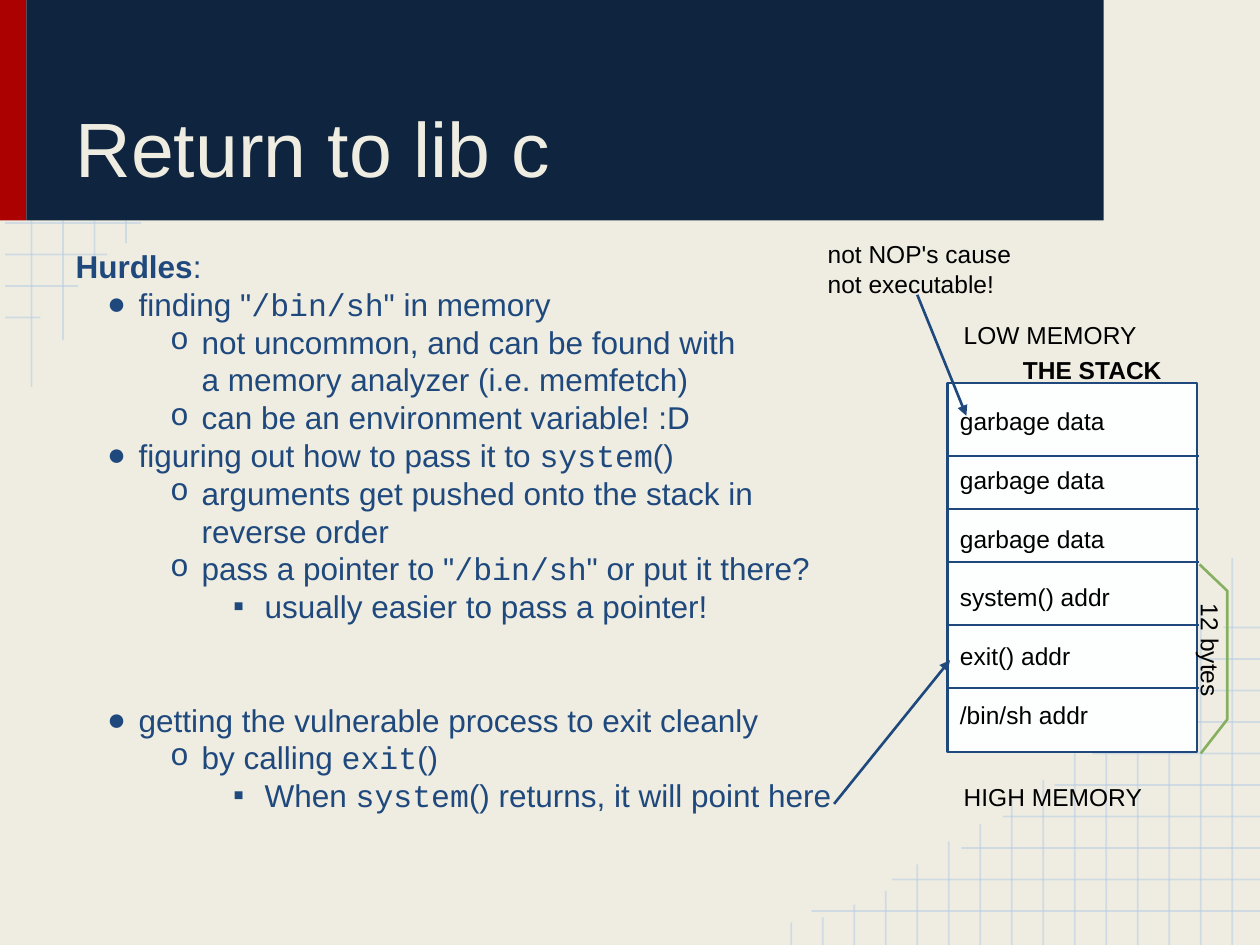
from dataclasses import dataclass

import pptx
import pptx.dml.color
import pptx.enum.shapes
import pptx.enum.text
import pptx.oxml
import pptx.oxml.ns
import pptx.util
from pptx.util import Inches

RGBColor = pptx.dml.color.RGBColor
CREAM = RGBColor(0xEF, 0xED, 0xE2)
RED = RGBColor(0xAB, 0x01, 0x01)
NAVY = RGBColor(0x0F, 0x24, 0x3E)
BLUE = RGBColor(0x1F, 0x49, 0x7D)
PALE_BLUE = RGBColor(0xB7, 0xCC, 0xE4)
GREEN = RGBColor(0x86, 0xB0, 0x60)
WHITE = RGBColor(0xFD, 0xFF, 0xFF)
BLACK = RGBColor(0, 0, 0)

RECTANGLE = pptx.enum.shapes.MSO_SHAPE.RECTANGLE
ANCHOR = pptx.enum.text.MSO_ANCHOR
LEFT = pptx.enum.text.PP_ALIGN.LEFT
GRID_GAP = 0.25


@dataclass
class Item:
    """A line of the list; text between backticks is code."""
    text: str
    level: int
    gap_before: float = 0


@dataclass
class Label:
    text: str
    left: float
    top: float
    width: float
    height: float
    bold: bool = False
    rotation: float = 0


BULLETS = [("●", "Arial"), ("o", "Courier New"), ("▪", "Arial")]
ITEMS = [
    Item('finding "`/bin/sh`" in memory', 0),
    Item("not uncommon, and can be found with\va memory analyzer (i.e. memfetch)", 1),
    Item("can be an environment variable! :D", 1),
    Item("figuring out how to pass it to `system`()", 0),
    Item("arguments get pushed onto the stack in\vreverse order", 1),
    Item('pass a pointer to "`/bin/sh`" or put it there?', 1),
    Item("usually easier to pass a pointer!", 2),
    Item("getting the vulnerable process to exit cleanly", 0, 43.2),
    Item("by calling `exit`()", 1),
    Item("When `system`() returns, it will point here", 2),
]
STACK = ["garbage data"] * 3 + ["system() addr", "exit() addr", "/bin/sh addr"]
DIVIDERS = [3.62, 4.04, 4.46, 4.96, 5.46]
LABELS = [
    Label("THE STACK", 8.02, 2.72, 1.5, 0.28, bold=True),
    Label("not NOP's cause not executable!", 6.47, 1.8, 1.95, 0.54),
    Label("12 bytes", 8.17, 4.86, 1.82, 1.49, rotation=90),
    Label("HIGH MEMORY", 7.55, 6.11, 1.72, 0.36),
    Label("LOW MEMORY", 7.55, 2.44, 1.72, 0.36),
]
BRACKET = [(9.52, 4.48), (9.74, 4.69), (9.74, 5.71), (9.53, 5.98)]

TOP_ROW_ENDS = [1.12, 0.85, 0.62, 0.32]
TOP_COLUMN_ENDS = [3.07, 2.7, 2.21, 1.93]
BOTTOM_ROW_STARTS = [6.44, 7.08, 7.63, 7.96, 8.37, 8.67, 8.92, 9.19, 9.42, 9.71]
BOTTOM_COLUMN_STARTS = [4.43, 4.8, 5.29, 5.57, 5.78, 5.95, 6.19, 6.35,
                        6.54, 6.68, 6.86, 7.07, 7.18, 7.28, 7.32]


def add_child(parent, tag: str, **attributes: str):
    child = pptx.oxml.ns.qn(tag)
    element = parent.makeelement(child, attributes)
    parent.append(element)
    return element


def add_line(slide, start: tuple, end: tuple, color: RGBColor = BLUE,
             width: float = 1.5, arrow: bool = False):
    connector = slide.shapes.add_connector(
        pptx.enum.shapes.MSO_CONNECTOR.STRAIGHT,
        Inches(start[0]), Inches(start[1]), Inches(end[0]), Inches(end[1]))
    connector.line.color.rgb = color
    connector.line.width = pptx.util.Pt(width)
    if arrow:
        add_child(connector.line._get_or_add_ln(), "a:tailEnd", type="triangle")
    add_child(connector.element.spPr, "a:effectLst")
    return connector


def add_grid_line(slide, start: tuple, end: tuple) -> None:
    connector = add_line(slide, start, end, PALE_BLUE, 1)
    color = connector.element.find(".//" + pptx.oxml.ns.qn("a:srgbClr"))
    add_child(color, "a:alpha", val="54000")


def add_grids(slide) -> None:
    for index, end in enumerate(TOP_ROW_ENDS):
        y = 1.77 + index * GRID_GAP
        add_grid_line(slide, (0.04, y), (end, y))
    for index, end in enumerate(TOP_COLUMN_ENDS):
        x = (index + 1) * GRID_GAP
        add_grid_line(slide, (x, 1.75), (x, end))
    for index, start in enumerate(BOTTOM_ROW_STARTS):
        y = 7.23 - index * GRID_GAP
        add_grid_line(slide, (start, y), (10, y))
    for index, start in enumerate(BOTTOM_COLUMN_STARTS):
        x = 9.78 - index * GRID_GAP
        add_grid_line(slide, (x, start), (x, 7.5))


def add_rectangle(slide, left: float, top: float, width: float, height: float,
                  fill: RGBColor):
    shape = slide.shapes.add_shape(
        RECTANGLE, Inches(left), Inches(top), Inches(width), Inches(height))
    shape.shadow.inherit = False
    shape.fill.solid()
    shape.fill.fore_color.rgb = fill
    shape.line.fill.background()
    return shape


def set_frame(shape, anchor) -> None:
    frame = shape.text_frame
    frame.word_wrap = True
    frame.auto_size = pptx.enum.text.MSO_AUTO_SIZE.NONE
    frame.vertical_anchor = anchor
    frame.margin_left = frame.margin_right = Inches(0.1)
    frame.margin_top = frame.margin_bottom = Inches(0.1)


def set_font(paragraph, size: float, color: RGBColor) -> None:
    paragraph.alignment = LEFT
    paragraph.font.name = "Arial"
    paragraph.font.size = pptx.util.Pt(size)
    paragraph.font.color.rgb = color


def place(shape, left: float, top: float, width: float, height: float) -> None:
    """Move a placeholder and bring it in front of the background."""
    shape.left, shape.top = Inches(left), Inches(top)
    shape.width, shape.height = Inches(width), Inches(height)
    shape.element.getparent().append(shape.element)


def set_list_paragraph(paragraph, gap_before: float, level: int = -1) -> None:
    """Format a list line; level -1 is the heading without a bullet."""
    paragraph.level = max(level, 0)
    paragraph.line_spacing = pptx.util.Pt(21.6)
    paragraph.space_before = pptx.util.Pt(gap_before)
    properties = paragraph._p.get_or_add_pPr()
    properties.set("marL", str(Inches(0.5 * (level + 1))))
    if level < 0:
        properties.set("indent", "0")
        add_child(properties, "a:buNone")
    else:
        character, font = BULLETS[level]
        properties.set("indent", str(Inches(-0.25)))
        add_child(add_child(properties, "a:buClr"), "a:srgbClr", val=str(BLUE))
        add_child(properties, "a:buFont", typeface=font)
        add_child(properties, "a:buChar", char=character)
    set_font(paragraph, 18, BLUE)


def fill_body(body) -> None:
    set_frame(body, ANCHOR.TOP)
    heading = body.text_frame.paragraphs[0]
    set_list_paragraph(heading, 0)
    word = heading.add_run()
    word.text = "Hurdles"
    word.font.bold = True
    heading.add_run().text = ":"
    for item in ITEMS:
        paragraph = body.text_frame.add_paragraph()
        set_list_paragraph(paragraph, item.gap_before, item.level)
        for index, part in enumerate(item.text.split("`")):
            for line_number, line in enumerate(part.split("\v")):
                if line_number:
                    paragraph.add_line_break()
                run = paragraph.add_run()
                run.text = line
                if index % 2:
                    run.font.name = "Courier New"


def add_stack(slide) -> None:
    stack = add_rectangle(slide, 7.52, 3.04, 1.98, 2.93, WHITE)
    stack.line.color.rgb = BLUE
    stack.line.width = pptx.util.Pt(1.5)
    set_frame(stack, ANCHOR.MIDDLE)
    for index, text in enumerate(STACK):
        frame = stack.text_frame
        paragraph = frame.add_paragraph() if index else frame.paragraphs[0]
        paragraph.text = text
        paragraph.line_spacing = pptx.util.Pt(16.8)
        paragraph.space_before = pptx.util.Pt(16.8 if index else 0)
        set_font(paragraph, 14, BLACK)
    for y in DIVIDERS:
        add_line(slide, (7.53, y), (9.52, y))


def add_bracket(slide) -> None:
    points = [(Inches(x), Inches(y)) for x, y in BRACKET]
    builder = slide.shapes.build_freeform(*points[0])
    builder.add_line_segments(points[1:], close=False)
    bracket = builder.convert_to_shape()
    bracket.shadow.inherit = False
    bracket.fill.background()
    bracket.line.color.rgb = GREEN
    bracket.line.width = pptx.util.Pt(1.5)


def add_label(slide, label: Label) -> None:
    box = slide.shapes.add_textbox(Inches(label.left), Inches(label.top),
                                   Inches(label.width), Inches(label.height))
    box.rotation = label.rotation
    set_frame(box, ANCHOR.TOP)
    paragraph = box.text_frame.paragraphs[0]
    paragraph.text = label.text
    set_font(paragraph, 14, BLACK)
    paragraph.font.bold = label.bold


def main() -> None:
    presentation = pptx.Presentation()
    presentation.slide_width, presentation.slide_height = Inches(10), Inches(7.5)
    slide = presentation.slides.add_slide(presentation.slide_layouts[1])
    slide.background.fill.solid()
    slide.background.fill.fore_color.rgb = CREAM
    add_grids(slide)
    add_rectangle(slide, 0, -0.01, 0.21, 1.76, RED)
    add_rectangle(slide, 0.21, -0.01, 8.55, 1.76, NAVY)
    add_bracket(slide)

    title, body = slide.shapes.title, slide.placeholders[1]
    place(title, 0.5, 0.15, 8, 1.48)
    set_frame(title, ANCHOR.BOTTOM)
    title.text_frame.text = "Return to lib c"
    set_font(title.text_frame.paragraphs[0], 44, CREAM)
    place(body, 0.5, 1.86, 9, 5.29)
    fill_body(body)

    add_stack(slide)
    add_line(slide, (6.62, 6.38), (7.54, 5.24), arrow=True)
    add_line(slide, (7.28, 2.34), (7.67, 3.3), arrow=True)
    for label in LABELS:
        add_label(slide, label)
    presentation.save("out.pptx")


if __name__ == "__main__":
    main()
